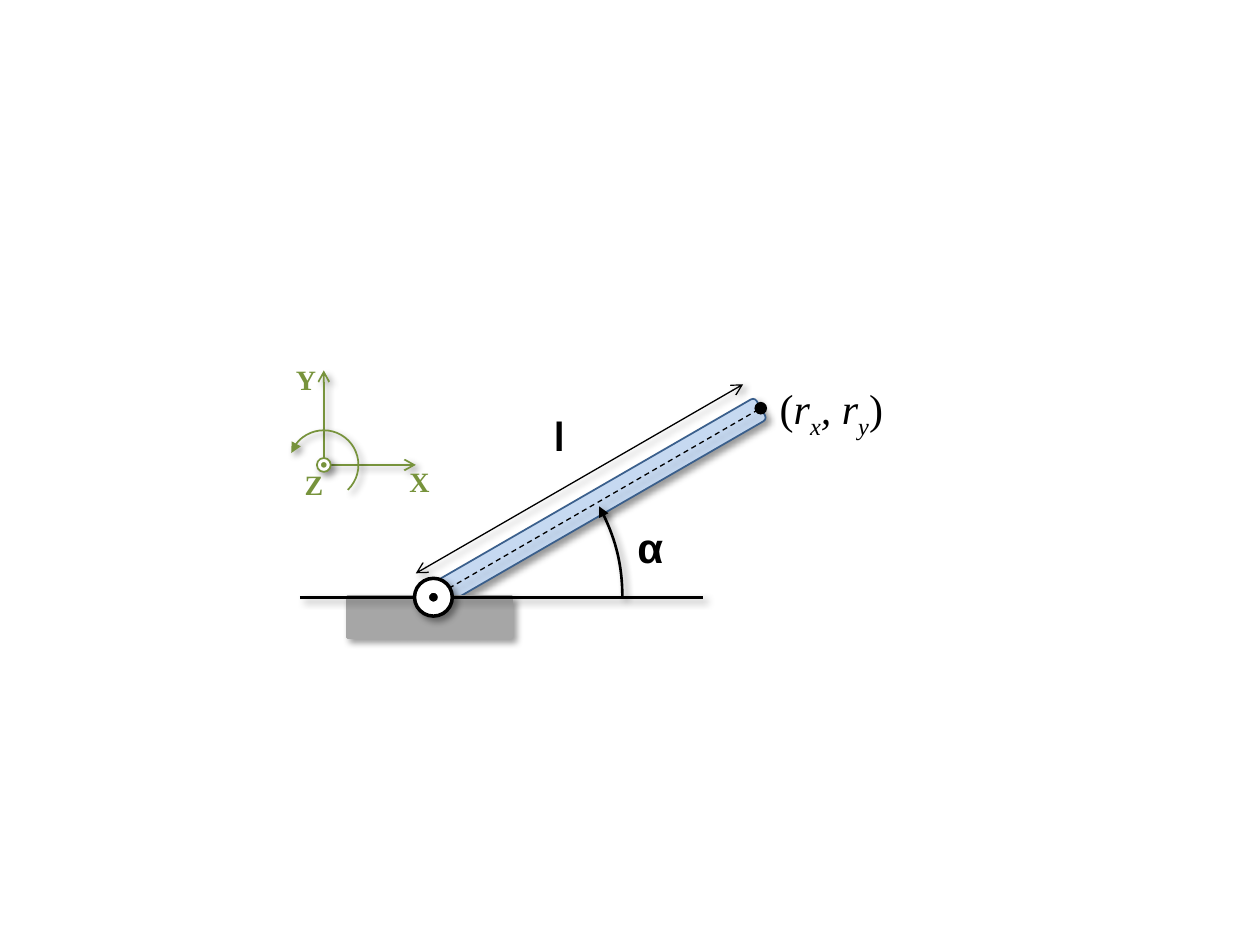
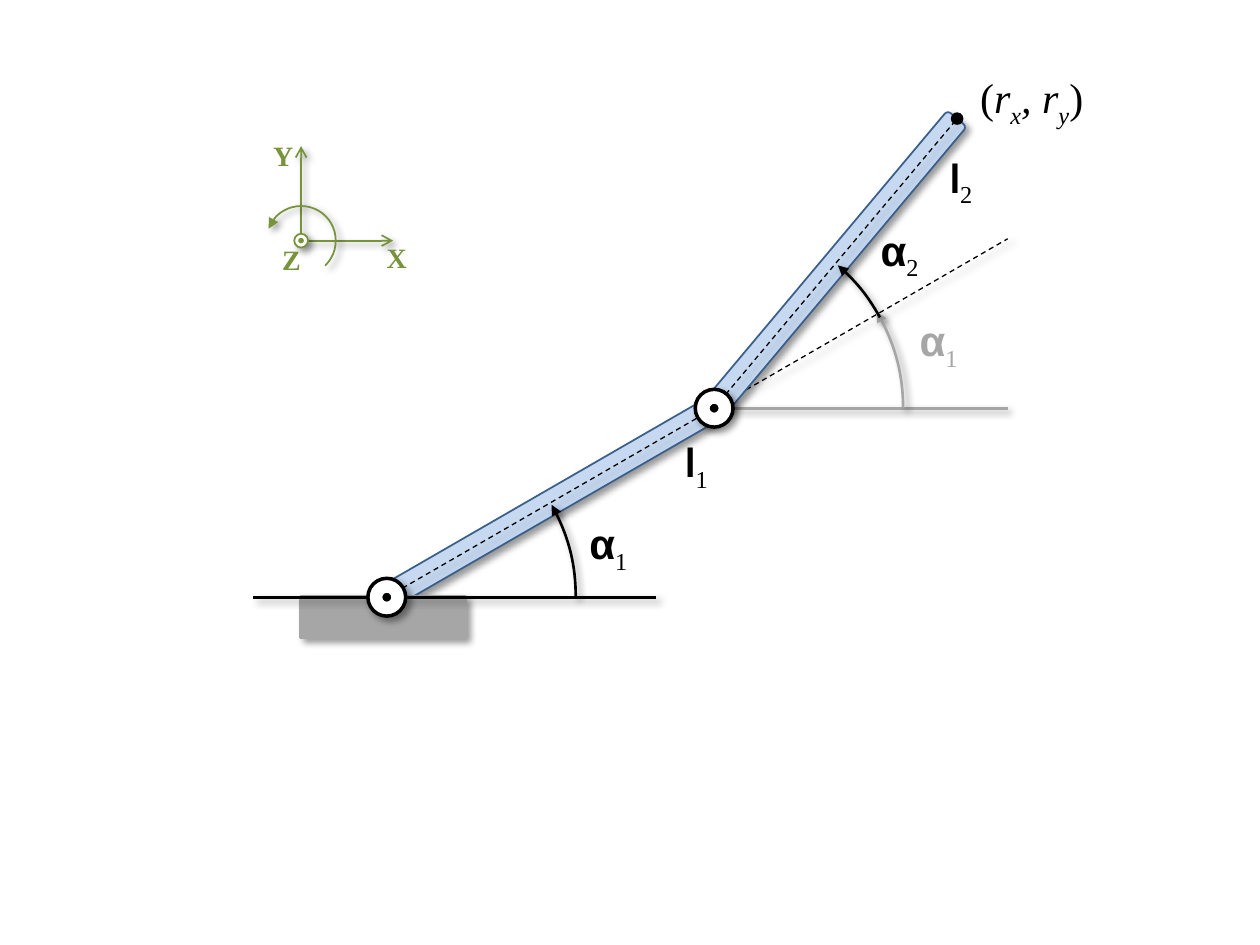
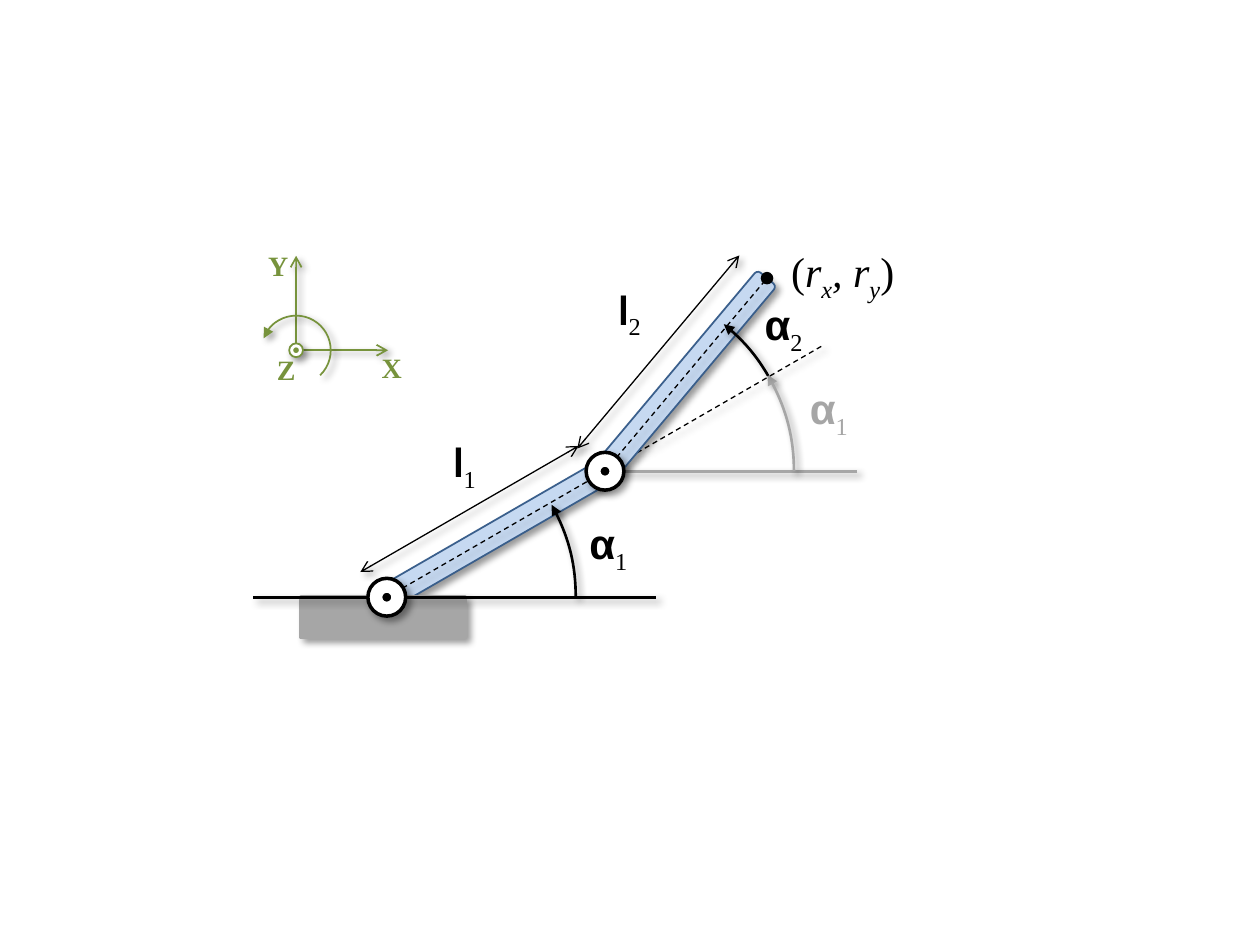
from dataclasses import dataclass
from math import cos, radians, sin
from typing import NamedTuple, Optional

from lxml import etree
from pptx import Presentation
from pptx.dml.color import RGBColor
from pptx.enum.dml import MSO_LINE
from pptx.enum.shapes import MSO_CONNECTOR, MSO_SHAPE
from pptx.enum.text import MSO_AUTO_SIZE
from pptx.oxml.ns import qn
from pptx.util import Inches, Pt

STRAIGHT = MSO_CONNECTOR.STRAIGHT
ELLIPSE, RECT = MSO_SHAPE.OVAL, MSO_SHAPE.RECTANGLE
ROUND_RECT, ARC = MSO_SHAPE.ROUNDED_RECTANGLE, MSO_SHAPE.ARC
DASH = MSO_LINE.DASH
FIT_TEXT = MSO_AUTO_SIZE.SHAPE_TO_FIT_TEXT

BLACK, WHITE, GREY = "000000", "FFFFFF", "A6A6A6"
ARM_FILL, ARM_EDGE, FRAME_GREEN = "C6D9F1", "3A5F8C", "77933C"
SERIF, SANS, LETTER = "Times New Roman", "Arial", "Calibri"

ARM_WIDTH = 0.2
SWEEP_SIZE = 3.0
ARC_UNIT = 0.6  # adjustment units per degree


class Point(NamedTuple):
    x: float
    y: float

    def shift(self, dx: float, dy: float) -> "Point":
        return Point(self.x + dx, self.y + dy)

    def along(self, angle: float, length: float) -> "Point":
        """Point at a distance, with the angle counted anticlockwise."""
        return self.shift(length * cos(radians(angle)),
                          -length * sin(radians(angle)))


class Piece(NamedTuple):
    text: str
    font: str = SERIF
    bold: bool = False
    italic: bool = False
    sub: bool = False


class Label(NamedTuple):
    at: Point
    pieces: tuple[Piece, ...]
    width: float
    color: str = BLACK


class Sweep(NamedTuple):
    """Angle arrow about a joint, in clockwise degrees."""
    start: float
    end: float = 0
    color: str = BLACK


@dataclass
class Link:
    angle: float
    length: float
    sweeps: tuple[Sweep, ...]
    axis: float                           # length of the dashed axis
    measure: Optional[Point] = None       # offset of the length arrow
    level: float = 0                      # length of the grey level line


@dataclass
class Diagram:
    base: Point
    frame: Point
    links: list[Link]
    labels: list[Label]


# Styling
def rgb(color: str) -> RGBColor:
    return RGBColor.from_string(color)


def add_shadow(item) -> None:
    properties = item.element.spPr
    effects = properties.find(qn("a:effectLst"))
    if effects is None:
        effects = etree.SubElement(properties, qn("a:effectLst"))
    outer = etree.SubElement(
        effects, qn("a:outerShdw"), blurRad=str(Pt(4)), dist=str(Pt(3)),
        dir=str(45 * 60000), algn="tl", rotWithShape="0")
    tone = etree.SubElement(outer, qn("a:srgbClr"), val=BLACK)
    etree.SubElement(tone, qn("a:alpha"), val="40000")


def add_heads(item, head: str, tail: str) -> None:
    outline = item.element.spPr.find(qn("a:ln"))
    for tag, kind in (("a:headEnd", head), ("a:tailEnd", tail)):
        if kind:
            etree.SubElement(outline, qn(tag), type=kind)


# Drawing
def draw_shape(shapes, kind, center: Point, width: float, height: float,
               fill: str = "", line: str = "", weight: float = 1,
               shadow: bool = True):
    shape = shapes.add_shape(
        kind, Inches(center.x - width / 2), Inches(center.y - height / 2),
        Inches(width), Inches(height))
    shape.shadow.inherit = False
    if fill:
        shape.fill.solid()
        shape.fill.fore_color.rgb = rgb(fill)
    else:
        shape.fill.background()
    if line:
        shape.line.color.rgb = rgb(line)
        shape.line.width = Pt(weight)
    else:
        shape.line.fill.background()
    if shadow:
        add_shadow(shape)
    return shape


def draw_disc(shapes, center: Point, size: float, fill: str, line: str = "",
              weight: float = 1, shadow: bool = False) -> None:
    draw_shape(shapes, ELLIPSE, center, size, size, fill, line, weight, shadow)


def draw_line(shapes, start: Point, end: Point, color: str = BLACK,
              weight: float = 0.75, dashed: bool = False,
              head: str = "", tail: str = "") -> None:
    line = shapes.add_connector(STRAIGHT, Inches(start.x), Inches(start.y),
                                Inches(end.x), Inches(end.y))
    line.line.color.rgb = rgb(color)
    line.line.width = Pt(weight)
    if dashed:
        line.line.dash_style = DASH
    add_heads(line, head, tail)
    add_shadow(line)


def draw_sweep(shapes, center: Point, size: float, sweep: Sweep,
               weight: float = 1.5) -> None:
    arc = draw_shape(shapes, ARC, center, size, size,
                     line=sweep.color, weight=weight)
    arc.adjustments[0] = sweep.start * ARC_UNIT
    arc.adjustments[1] = sweep.end * ARC_UNIT
    add_heads(arc, "triangle", "")


def draw_label(shapes, label: Label, size: float = 24,
               height: float = 0.5) -> None:
    box = shapes.add_textbox(Inches(label.at.x), Inches(label.at.y),
                             Inches(label.width), Inches(height))
    box.text_frame.word_wrap = False
    box.text_frame.auto_size = FIT_TEXT
    paragraph = box.text_frame.paragraphs[0]
    for piece in label.pieces:
        run = paragraph.add_run()
        run.text = piece.text
        run.font.name = piece.font
        run.font.size = Pt(size)
        run.font.bold = piece.bold
        run.font.italic = piece.italic
        run.font.color.rgb = rgb(label.color)
        if piece.sub:
            run.font._element.set("baseline", "-25000")


# Parts of a diagram
def draw_hub(slide, center: Point) -> None:
    hub = slide.shapes.add_group_shape().shapes
    draw_disc(hub, center, 0.3, WHITE, BLACK, 2, shadow=True)
    draw_disc(hub, center, 0.1, BLACK, WHITE, 2)


def draw_ground(slide, base: Point) -> None:
    draw_shape(slide.shapes, RECT, base.shift(-0.03, 0.16), 1.3, 0.32,
               GREY, GREY, 2)
    draw_line(slide.shapes, base.shift(-1.06, 0), base.shift(2.14, 0),
              weight=1.5)


def draw_frame(slide, origin: Point) -> None:
    frame = slide.shapes.add_group_shape().shapes
    for tip in (origin.shift(0.73, 0), origin.shift(0, -0.75)):
        draw_line(frame, origin, tip, FRAME_GREEN, 1, tail="arrow")
    draw_disc(frame, origin, 0.11, WHITE, FRAME_GREEN, shadow=True)
    draw_disc(frame, origin, 0.06, FRAME_GREEN, WHITE)
    for axis, dx, dy in (("Y", -0.32, -0.86), ("X", 0.58, -0.05),
                         ("Z", -0.25, -0.03)):
        draw_label(frame, Label(origin.shift(dx, dy),
                                (Piece(axis, bold=True),), 0.36, FRAME_GREEN),
                   size=16, height=0.37)
    draw_sweep(frame, origin, 0.55, Sweep(200.1, 46.18, FRAME_GREEN), 1)


def draw_link(slide, joint: Point, link: Link) -> Point:
    """Draws one arm and returns its far end."""
    shapes = slide.shapes
    end = joint.along(link.angle, link.length)
    arm = draw_shape(shapes, ROUND_RECT,
                     joint.along(link.angle, link.length / 2),
                     ARM_WIDTH, link.length, ARM_FILL, ARM_EDGE)
    arm.rotation = 90 - link.angle
    draw_line(shapes, joint, joint.along(link.angle, link.axis), dashed=True)
    if link.measure:
        draw_line(shapes, end.shift(*link.measure),
                  joint.shift(*link.measure), head="arrow", tail="arrow")
    for sweep in link.sweeps:
        draw_sweep(shapes, joint, SWEEP_SIZE, sweep)
    return end


def draw_diagram(slide, diagram: Diagram) -> None:
    joint = diagram.base
    for link in diagram.links:
        if link.level:
            end = joint.along(link.angle, link.length)
            draw_line(slide.shapes, end.shift(link.level, 0), end, GREY, 1.5)
        tip = draw_link(slide, joint, link)
        if joint == diagram.base:
            draw_ground(slide, joint)
        draw_hub(slide, joint)
        joint = tip
    draw_disc(slide.shapes, joint, 0.1, BLACK)
    for label in diagram.labels:
        draw_label(slide.shapes, label)
    draw_frame(slide, diagram.frame)


# Labels
def symbol(letter: str, font: str, x: float, y: float, index: str = "",
           color: str = BLACK) -> Label:
    pieces = (Piece(letter, font, bold=True),)
    if index:
        pieces += (Piece(index, sub=True),)
    narrow, step = (0.41, 0.22) if font == SANS else (0.35, 0.11)
    return Label(Point(x, y), pieces, narrow + (step if index else 0), color)


def alpha(x: float, y: float, index: str = "", color: str = BLACK) -> Label:
    return symbol("α", SANS, x, y, index, color)


def length(x: float, y: float, index: str = "") -> Label:
    return symbol("l", LETTER, x, y, index)


def tip_label(x: float, y: float) -> Label:
    return Label(Point(x, y), (
        Piece("("), Piece("r", italic=True),
        Piece("x", italic=True, sub=True), Piece(", r", italic=True),
        Piece("y", italic=True, sub=True), Piece(")")), 1.06)


# Content
DIAGRAMS = [
    Diagram(
        base=Point(3.44, 4.74), frame=Point(2.57, 3.69),
        links=[Link(30, 3, (Sweep(331.26),), 3, Point(-0.14, -0.19))],
        labels=[alpha(4.96, 4.09), length(4.3, 3.2), tip_label(6.09, 2.99)]),
    Diagram(
        base=Point(3.07, 4.74), frame=Point(2.39, 1.91),
        links=[Link(30, 3, (Sweep(330.74),), 5.69, level=2.33),
               Link(50, 3, (Sweep(329.29, color=GREY),
                            Sweep(310.91, 331.31)), 3)],
        labels=[alpha(4.58, 4.06, "1"), length(5.34, 3.41, "1"),
                alpha(7.2, 2.45, "1", GREY), length(7.44, 1.15, "2"),
                alpha(6.89, 1.73, "2"), tip_label(7.68, 0.52)]),
    Diagram(
        base=Point(3.07, 4.74), frame=Point(2.35, 2.78),
        links=[Link(30, 2, (Sweep(330.74),), 4, Point(-0.21, -0.2), level=2),
               Link(50, 2, (Sweep(329.29, color=GREY),
                            Sweep(308.95, 329.71)), 2, Point(-0.22, -0.18))],
        labels=[alpha(4.58, 4.06, "1"), length(3.5, 3.41, "1"),
                alpha(6.33, 2.99, "1", GREY), length(4.81, 2.2, "2"),
                alpha(5.97, 2.32, "2"), tip_label(6.18, 1.9)]),
]


def main() -> None:
    deck = Presentation()
    deck.slide_width, deck.slide_height = Inches(10), Inches(7.5)
    blank = deck.slide_layouts[6]
    for diagram in DIAGRAMS:
        draw_diagram(deck.slides.add_slide(blank), diagram)
    deck.save("out.pptx")


if __name__ == "__main__":
    main()
